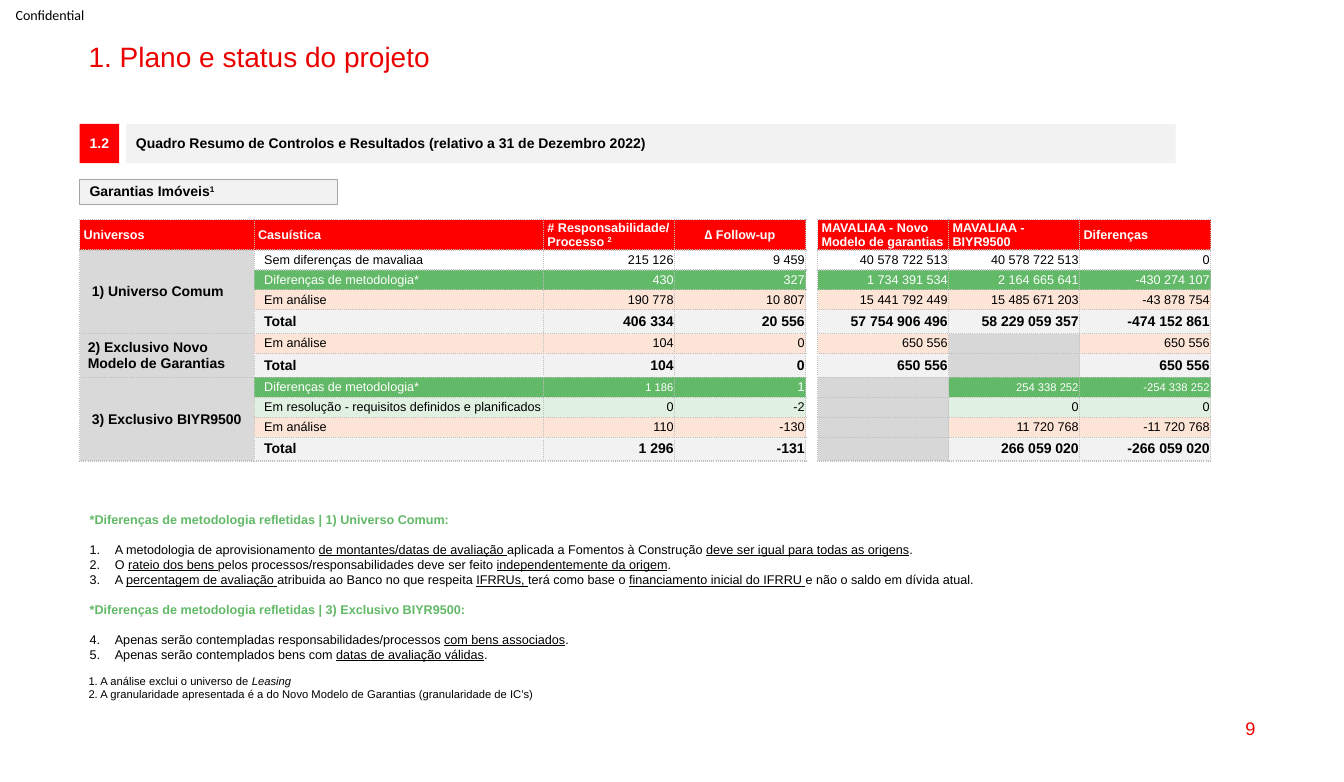
from lxml.etree import SubElement
from pptx import Presentation
from pptx.dml.color import RGBColor
from pptx.enum.shapes import MSO_SHAPE
from pptx.enum.text import MSO_ANCHOR as ANCHOR, PP_ALIGN as ALIGN
from pptx.oxml.ns import qn
from pptx.util import Inches, Pt

THEME = {
    "font": "Arial", "label_font": "Calibri",
    "black": "000000", "white": "FFFFFF", "title": "EB0000", "red": "FF0000",
    "band": "F2F2F2", "outline": "A6A6A6", "grid": "BFBFBF",
    "universe": "D9D9D9", "blocked": "D7D7D7", "green": "62B967",
    "pale_green": "E0F1E1", "peach": "FCE4D6",
    "title_size": 20, "page_size": 13, "strong_size": 10, "body_size": 9, "small_size": 8,
}
UNDERLINE, ITALIC, SUPERSCRIPT = ("u", "sng"), ("i", "1"), ("baseline", "30000")

presentation = Presentation()
presentation.slide_width, presentation.slide_height = Inches(13.33), Inches(7.76)
slide = presentation.slides.add_slide(presentation.slide_layouts[6])
across, down = presentation.slide_width / 100, presentation.slide_height / 100


def place(left, top, width, height):
    return int(left * across), int(top * down), int(width * across), int(height * down)


def write(paragraph, text, size="body_size", color="black", bold=False, mark=UNDERLINE, font="font"):
    paragraph.font.name = THEME[font]
    paragraph.font.size = Pt(THEME[size])
    paragraph.font.color.rgb = RGBColor.from_string(THEME[color])
    paragraph.font.bold = bold
    for index, part in enumerate(text.split("~")):
        if part:
            run = paragraph.add_run()
            run.text = part
            if index % 2:
                run._r.get_or_add_rPr().set(*mark)


LEFT = 5.93
BANNER_TOP, BANNER_HEIGHT = 15.85, 5.03

labels = [
    ((0, 0, 7.43, 3.74), "Confidential", "strong_size", "black", "label_font", ALIGN.CENTER, ANCHOR.MIDDLE, 1),
    ((5.85, 4.9, 88.3, 4.38), "1. Plano e status do projeto", "title_size", "title", "font", ALIGN.LEFT, ANCHOR.TOP, 0.9),
    ((71.64, 90.46, 22.51, 5.28), "9", "page_size", "title", "font", ALIGN.RIGHT, ANCHOR.MIDDLE, 1),
]
for area, text, size, color, font, align, anchor, spacing in labels:
    frame = slide.shapes.add_textbox(*place(*area)).text_frame
    frame.word_wrap, frame.vertical_anchor = True, anchor
    paragraph = frame.paragraphs[0]
    paragraph.alignment, paragraph.line_spacing = align, spacing
    write(paragraph, text, size, color, font=font)

banners = [
    ((LEFT, BANNER_TOP, 2.93, BANNER_HEIGHT), "1.2", "red", "white", ALIGN.CENTER, None),
    ((9.38, BANNER_TOP, 78.1, BANNER_HEIGHT),
     "Quadro Resumo de Controlos e Resultados (relativo a 31 de Dezembro 2022)",
     "band", "black", ALIGN.LEFT, None),
    ((LEFT, 22.94, 19.2, 3.22), "Garantias Imóveis~1", "band", "black", ALIGN.LEFT, "outline"),
]
for area, text, fill, color, align, outline in banners:
    shape = slide.shapes.add_shape(MSO_SHAPE.RECTANGLE, *place(*area))
    shape.shadow.inherit = False
    shape.fill.solid()
    shape.fill.fore_color.rgb = RGBColor.from_string(THEME[fill])
    if outline:
        shape.line.color.rgb = RGBColor.from_string(THEME[outline])
        shape.line.width = Pt(0.75)
    else:
        shape.line.fill.background()
    shape.text_frame.word_wrap = True
    shape.text_frame.vertical_anchor = ANCHOR.MIDDLE
    paragraph = shape.text_frame.paragraphs[0]
    paragraph.alignment, paragraph.line_spacing = align, 0.9
    write(paragraph, text, "strong_size", color, True, SUPERSCRIPT)

headers = ["Universos", "Casuística", "# Responsabilidade/\nProcesso ~2", "∆ Follow-up", None,
           "MAVALIAA - Novo Modelo de garantias", "MAVALIAA - BIYR9500", "Diferenças"]
universes = {1: (4, "1) Universo Comum", 0.12),
             5: (2, "2) Exclusivo Novo\nModelo de Garantias", 0.08),
             7: (4, "3) Exclusivo BIYR9500", 0.12)}
METHOD, ANALYSIS, TOTAL = "Diferenças de metodologia*", "Em análise", "Total"
SAME, PLANNED = "Sem diferenças de mavaliaa", "Em resolução - requisitos definidos e planificados"
row_fills = {SAME: None, METHOD: "green", ANALYSIS: "peach", PLANNED: "pale_green", TOTAL: "band"}
results = [
    [SAME, "215 126", "9 459", None, "40 578 722 513", "40 578 722 513", "0"],
    [METHOD, "430", "327", None, "1 734 391 534", "2 164 665 641", "-430 274 107"],
    [ANALYSIS, "190 778", "10 807", None, "15 441 792 449", "15 485 671 203", "-43 878 754"],
    [TOTAL, "406 334", "20 556", None, "57 754 906 496", "58 229 059 357", "-474 152 861"],
    [ANALYSIS, "104", "0", None, "650 556", None, "650 556"],
    [TOTAL, "104", "0", None, "650 556", None, "650 556"],
    [METHOD, "1 186", "1", None, None, "254 338 252", "-254 338 252"],
    [PLANNED, "0", "-2", None, None, "0", "0"],
    [ANALYSIS, "110", "-130", None, None, "11 720 768", "-11 720 768"],
    [TOTAL, "1 296", "-131", None, None, "266 059 020", "-266 059 020"],
]
GAP_COLUMN = 4
small_cells = {(7, 2), (7, 6), (7, 7)}
widths = [12.98, 21.53, 9.75, 9.75, 0.86, 9.75, 9.75, 9.75]
heights = [3.35] + [3.05 if result[0] == TOTAL else 2.55 for result in results]

table = slide.shapes.add_table(len(heights), len(widths),
                               *place(LEFT, 28.09, sum(widths), sum(heights))).table
table.first_row = table.horz_banding = False
for column, width in zip(table.columns, widths):
    column.width = int(width * across)
for row, height in zip(table.rows, heights):
    row.height = int(height * down)
for start, (span, _, _) in universes.items():
    table.cell(start, 0).merge(table.cell(start + span - 1, 0))

for row, values in enumerate([headers] + [[None] + result for result in results]):
    for column, text in enumerate(values):
        cell = table.cell(row, column)
        cell.vertical_anchor = ANCHOR.MIDDLE
        cell.margin_left = cell.margin_right = Inches(0.01)
        cell.margin_top = cell.margin_bottom = 0
        fill = "blocked" if text is None else row_fills.get(values[1])
        size, color, bold, align = "body_size", "black", False, ALIGN.RIGHT
        if row == 0:
            fill, color, bold = "red", "white", True
            align = ALIGN.CENTER if column == 3 else ALIGN.LEFT
            cell.margin_left = cell.margin_right = Inches(0.04)
        elif column == 0:
            fill, size, bold, align = "universe", "strong_size", True, ALIGN.LEFT
            if row in universes:
                _, text, indent = universes[row]
                cell.margin_left = Inches(indent)
        else:
            if values[1] == TOTAL:
                size, bold = "strong_size", True
            elif values[1] == METHOD:
                color = "white"
            if (row, column) in small_cells:
                size = "small_size"
            if column == 1:
                align = ALIGN.LEFT
                cell.margin_left = Inches(0.1)

        properties = cell._tc.get_or_add_tcPr()
        for side in "LRTB":
            border = SubElement(properties, qn("a:ln" + side), w="12700")
            if column == GAP_COLUMN and side in "TB":
                SubElement(border, qn("a:noFill"))
            else:
                SubElement(SubElement(border, qn("a:solidFill")), qn("a:srgbClr"), val=THEME["grid"])
                SubElement(border, qn("a:prstDash"), val="sysDot")
        if column == GAP_COLUMN or fill is None:
            cell.fill.background()
        else:
            cell.fill.solid()
            cell.fill.fore_color.rgb = RGBColor.from_string(THEME[fill])

        if text is None:
            cell.text_frame.paragraphs[0]._p.get_or_add_endParaRPr().set("sz", "800")
            continue
        for index, line in enumerate(text.split("\n")):
            paragraph = cell.text_frame.add_paragraph() if index else cell.text_frame.paragraphs[0]
            paragraph.alignment = align
            write(paragraph, line, size, color, bold, SUPERSCRIPT)

methodology = [
    ("*Diferenças de metodologia refletidas | 1) Universo Comum:", 1, [
        "A metodologia de aprovisionamento ~de montantes/datas de avaliação ~aplicada a Fomentos à Construção ~deve ser igual para todas as origens~.",
        "O ~rateio dos bens ~pelos processos/responsabilidades deve ser feito ~independentemente da origem~.",
        "A ~percentagem de avaliação ~atribuida ao Banco no que respeita ~IFRRUs, ~terá como base o ~financiamento inicial do IFRRU ~e não o saldo em dívida atual."]),
    ("*Diferenças de metodologia refletidas | 3) Exclusivo BIYR9500:", 4, [
        "Apenas serão contempladas responsabilidades/processos ~com bens associados~.",
        "Apenas serão contemplados bens com ~datas de avaliação válidas~."]),
]
BLANK_LINE = Pt(10.5)
frame = slide.shapes.add_textbox(*place(LEFT, 64.82, 79.14, 19.33)).text_frame
frame.word_wrap = True
for group, (heading, first_number, items) in enumerate(methodology):
    paragraph = frame.add_paragraph() if group else frame.paragraphs[0]
    if group:
        paragraph.space_before = BLANK_LINE
    write(paragraph, heading, color="green", bold=True)
    for index, item in enumerate(items):
        paragraph = frame.add_paragraph()
        if index == 0:
            paragraph.space_before = BLANK_LINE
        properties = paragraph._p.get_or_add_pPr()
        properties.set("marL", str(Inches(0.25)))
        properties.set("indent", str(-Inches(0.25)))
        SubElement(properties, qn("a:buAutoNum"), type="arabicPeriod", startAt=str(first_number))
        write(paragraph, item)

footnotes = ["1. A análise exclui o universo de ~Leasing",
             "2. A granularidade apresentada é a do Novo Modelo de Garantias (granularidade de IC’s)"]
frame = slide.shapes.add_textbox(*place(5.85, 85.57, 35.63, 4.77)).text_frame
frame.word_wrap = False
for index, footnote in enumerate(footnotes):
    paragraph = frame.add_paragraph() if index else frame.paragraphs[0]
    write(paragraph, footnote, "small_size", mark=ITALIC)

presentation.save("out.pptx")
